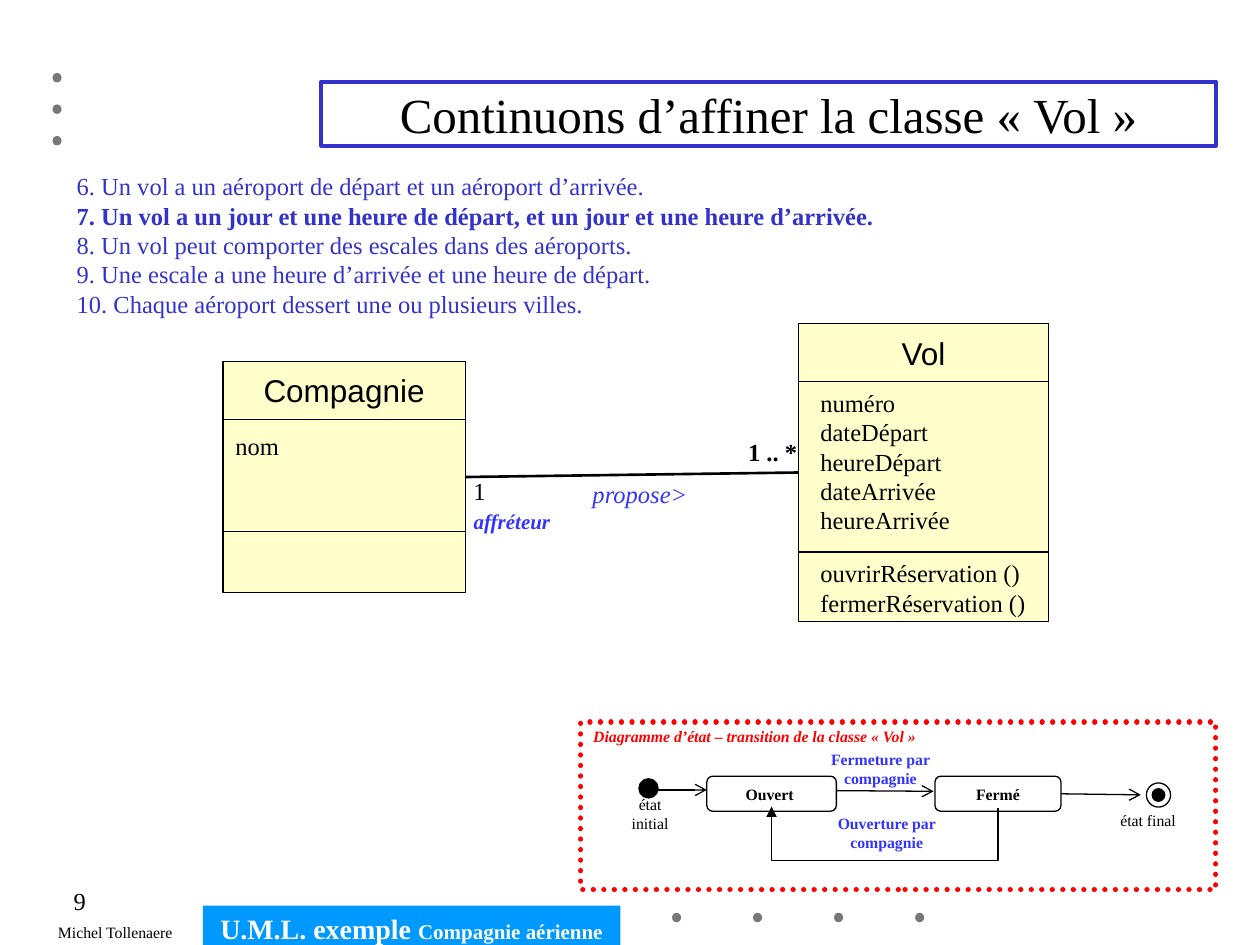
from lxml import etree
from pptx import Presentation
from pptx import util as u
from pptx.dml.color import RGBColor
from pptx.enum import dml, shapes, text
from pptx.oxml.ns import qn

BLACK, WHITE, GREY = "000000", "FFFFFF", "777777"
CREAM, NAVY, BLUE, RED, SKY = "FFFFCC", "3333CC", "3333FF", "FF0000", "0099FF"
LEFT, CENTER, RIGHT = text.PP_ALIGN.LEFT, text.PP_ALIGN.CENTER, text.PP_ALIGN.RIGHT
TOP, MIDDLE = text.MSO_ANCHOR.TOP, text.MSO_ANCHOR.MIDDLE
RECT = shapes.MSO_SHAPE.RECTANGLE
ROUNDED = shapes.MSO_SHAPE.ROUNDED_RECTANGLE
OVAL = shapes.MSO_SHAPE.OVAL

deck = Presentation()
deck.slide_width, deck.slide_height = u.Pt(720), u.Pt(540)
slide = deck.slides.add_slide(deck.slide_layouts[6])


def color(value):
    return RGBColor.from_string(value)


def box_pt(box):
    return [u.Pt(length) for length in box]


def write(target, lines, size=14, ink=BLACK, font="Times New Roman", bold=False,
          italic=False, align=LEFT, anchor=TOP, wrap=True, pad=(7.2, 3.6)):
    """Each line is a string or a list of (string, format overrides) runs."""
    frame = target.text_frame
    frame.word_wrap = wrap
    frame.vertical_anchor = anchor
    frame.margin_left = frame.margin_right = u.Pt(pad[0])
    frame.margin_top = frame.margin_bottom = u.Pt(pad[1])
    for index, line in enumerate([lines] if isinstance(lines, str) else lines):
        paragraph = frame.paragraphs[0] if index == 0 else frame.add_paragraph()
        paragraph.alignment = align
        for words, own in [(line, {})] if isinstance(line, str) else line:
            run = paragraph.add_run()
            run.text = words
            run.font.name = font
            run.font.size = u.Pt(own.get("size", size))
            run.font.bold = own.get("bold", bold)
            run.font.italic = italic
            run.font.color.rgb = color(ink)


def label(box, lines, **style):
    write(slide.shapes.add_textbox(*box_pt(box)), lines, **style)


def figure(kind, box, fill=None, line=None, weight=0.75):
    part = slide.shapes.add_shape(kind, *box_pt(box))
    part.shadow.inherit = False
    if fill:
        part.fill.solid()
        part.fill.fore_color.rgb = color(fill)
    else:
        part.fill.background()
    if line:
        part.line.color.rgb = color(line)
        part.line.width = u.Pt(weight)
    else:
        part.line.fill.background()
    return part


def link(start, end, weight=0.75, arrow=None, kind=shapes.MSO_CONNECTOR.STRAIGHT):
    line = slide.shapes.add_connector(kind, *box_pt(start + end))
    line.line.color.rgb = color(BLACK)
    line.line.width = u.Pt(weight)
    if arrow:
        etree.SubElement(line.line._get_or_add_ln(), qn("a:tailEnd"), type=arrow)
    etree.SubElement(line._element.spPr, qn("a:effectLst"))
    return line


def return_link(start_x, end_x, y, drop):
    """U-shaped connector: a 1 pt wide elbow turned by 270 degrees."""
    middle, span = (start_x + end_x) / 2, start_x - end_x
    line = link((middle - 0.5, y + span / 2), (middle + 0.5, y - span / 2),
                arrow="triangle", kind=shapes.MSO_CONNECTOR.ELBOW)
    props = line._element.spPr
    props.find(qn("a:xfrm")).set("rot", "16200000")
    geometry = props.find(qn("a:prstGeom"))
    guides = geometry.find(qn("a:avLst"))
    if guides is None:
        guides = etree.SubElement(geometry, qn("a:avLst"))
    etree.SubElement(guides, qn("a:gd"), name="adj1", fmla=f"val {-drop * 100000}")


def dots(x, y, count, dx=0, dy=0):
    for i in range(count):
        figure(OVAL, (x + i * dx, y + i * dy, 5.2, 5.4), fill=GREY)


def page_frame(box):
    left, top, _, height = box
    bottom = top + height
    label((left + 26, bottom - 16, 80.6, 18), "Michel Tollenaere", size=9, wrap=False)
    dots(left + 30, top + 41.7, 3, dy=18)
    dots(left + 384, bottom - 18.4, 4, dx=46.3)
    banner = figure(RECT, (left + 116, bottom - 22.5, 238.5, 22.5), fill=SKY)
    write(banner, [[("U.M.L. exemple ", {}), ("Compagnie aérienne", {"size": 12})]],
          size=16, ink=WHITE, bold=True, align=CENTER)
    label((left, bottom - 37.4, 56.2, 22.3), "9", align=RIGHT)


def heading(box):
    title = figure(RECT, box, line=NAVY, weight=2.25)
    write(title, "Continuons d’affiner la classe «\u00a0Vol\u00a0»", size=28,
          align=CENTER, anchor=MIDDLE)


def requirements(box):
    label(box, [
        "6. Un vol a un aéroport de départ et un aéroport d’arrivée.",
        [("7. Un vol a un jour et une heure de départ, et un jour et une heure d’arrivée.",
          {"bold": True})],
        "8. Un vol peut comporter des escales dans des aéroports.",
        "9. Une escale a une heure d’arrivée et une heure de départ.",
        "10. Chaque aéroport dessert une ou plusieurs villes.",
    ], ink=NAVY)


def uml_class(box, name, attributes, divider, operations=(), indent=0, gap=0):
    left, top, width, _ = box
    body = figure(RECT, box, fill=CREAM, line=BLACK)
    header = figure(RECT, (left, top, width, 33), line=BLACK)
    write(header, name, size=18, font="Arial", align=CENTER, anchor=MIDDLE,
          pad=(0, 5.8))
    link((left, top + divider), (left + width, top + divider))
    label((left + indent, top + 33 + gap, width - indent, divider - 33), attributes)
    if operations:
        label((left + indent, top + divider, width - indent, 41), operations)
    return body


def class_diagram(box):
    left, top, _, _ = box
    company = uml_class((left, top + 21.6, 138.5, 132), "Compagnie", ["nom"], 97,
                        gap=3)
    flight = uml_class(
        (left + 329, top, 142.6, 170), "Vol",
        ["numéro", "dateDépart", "heureDépart", "dateArrivée", "heureArrivée"], 130.5,
        operations=["ouvrirRéservation ()", "fermerRéservation ()"], indent=5.3)
    association = link((left + 138.5, top + 87.6), (left + 329, top + 85), weight=1.5)
    association.begin_connect(company, 3)
    association.end_connect(flight, 1)
    label((left + 203.8, top + 85, 69, 24.5), "propose>", ink=BLUE, italic=True,
          align=CENTER, anchor=MIDDLE, wrap=False)
    label((left + 136, top + 83.5, 21.6, 24.5), "1", wrap=False)
    label((left + 293, top + 61, 42.5, 24.5), "1 .. *", bold=True, wrap=False)
    label((left + 136, top + 102.3, 58.3, 21.6), "affréteur", size=12, ink=BLUE,
          bold=True, italic=True, align=CENTER, anchor=MIDDLE, wrap=False)


def state_diagram(box):
    left, top, _, _ = box
    caption = dict(size=9, align=CENTER, anchor=MIDDLE)
    event = dict(caption, ink=BLUE, bold=True)

    # Dotted border and heading
    border = figure(RECT, box, line=RED, weight=3)
    border.line.dash_style = dml.MSO_LINE.ROUND_DOT
    border.line._get_or_add_ln().set("cap", "rnd")
    label((left, top - 0.7, 199.4, 18),
          "Diagramme d’état – transition de la classe «\u00a0Vol\u00a0»",
          size=9, ink=RED, bold=True, italic=True, wrap=False)

    # States
    figure(OVAL, (left + 33.2, top + 32.4, 11, 11), fill=BLACK, line=BLACK)
    states = []
    for name, x, width in (("Ouvert ", 72, 74), ("Fermé", 202.4, 72)):
        state = figure(ROUNDED, (left + x, top + 31, width, 20), line=BLACK)
        write(state, name, bold=True, **caption)
        states.append(state)
    for inset, fill in ((3.3, BLACK), (0, None)):
        side = 13.8 - 2 * inset
        figure(OVAL, (left + 323.2 + inset, top + 34.8 + inset, side, side),
               fill=fill, line=BLACK)

    # Transitions
    link((left + 40.3, top + 38.8), (left + 72, top + 38.8), arrow="arrow")
    link((left + 146, top + 39.2), (left + 201.6, top + 39.6), arrow="arrow")
    ending = link((left + 274.4, top + 41), (left + 320, top + 41.6), arrow="arrow")
    ending.begin_connect(states[1], 3)
    return_link(left + 238.4, left + 109, top + 48.8, 30)

    # Captions
    label((left + 16.6, top + 38.2, 46, 28.8), "état initial", **caption)
    label((left + 300.4, top + 47, 47.5, 18), "état final", **caption)
    label((left + 134.8, top + 12.2, 72.8, 28.8), "Fermeture par compagnie", **event)
    label((left + 138.4, top + 49, 72.8, 28.8), "Ouverture par compagnie", **event)


page_frame((0, 0, 720, 540))
heading((183.6, 46.6, 511.2, 36.7))
requirements((36.7, 94.3, 646.6, 91.4))
class_diagram((127.4, 185, 471.6, 170))
state_diagram((331.9, 412.6, 362.9, 95.8))
deck.save("out.pptx")
